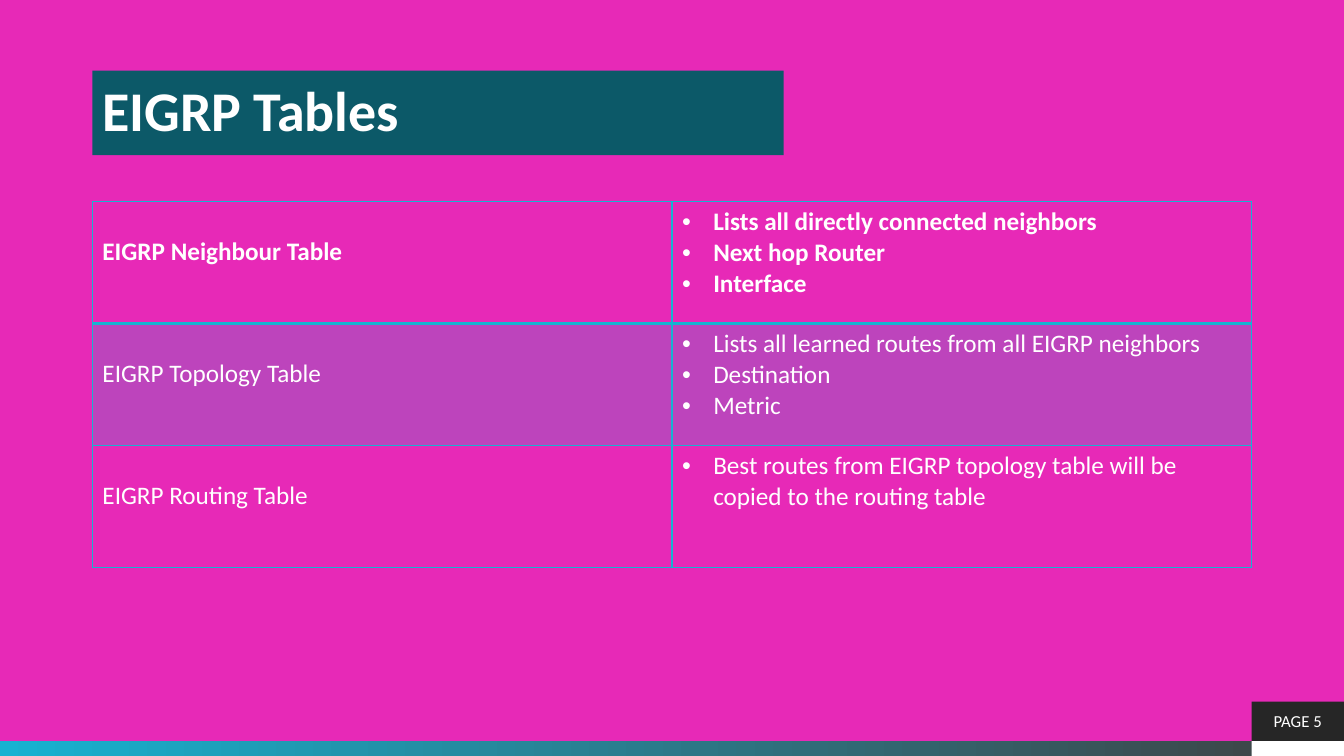
import dataclasses
import typing

import pptx
import pptx.dml.color
import pptx.enum.shapes
import pptx.enum.text
import pptx.oxml
import pptx.oxml.ns
import pptx.util

RGBColor = pptx.dml.color.RGBColor
Pt = pptx.util.Pt
Inches = pptx.util.Inches

PINK = RGBColor(0xE7, 0x29, 0xB7)
CYAN = RGBColor(0x17, 0xB2, 0xD1)
TEAL = RGBColor(0x0C, 0x59, 0x68)
GREY = RGBColor(0x40, 0x40, 0x40)
DARK = RGBColor(0x26, 0x26, 0x26)
WHITE = RGBColor(0xFF, 0xFF, 0xFF)

# The slide is a grid of 160 columns by 50 rows
WIDTH, HEIGHT = Inches(13.333), Inches(7.5)
COLUMN, ROW = WIDTH / 160, HEIGHT / 50
LEFT, RIGHT = 11, 149
ROW_SPAN = 8.07
BULLET_INDENT = Inches(0.31)


@dataclasses.dataclass
class Bar:
    left: float
    top: float
    width: float
    height: float
    colours: tuple[RGBColor, ...]
    text: str = ""
    size: int = 12
    bold: bool = False
    align: typing.Any = pptx.enum.text.PP_ALIGN.LEFT
    inset: float = 0.05
    line_spacing: float = 1.0


@dataclasses.dataclass
class TableRow:
    label: str
    points: tuple[str, ...]
    bold: bool = False
    shaded: bool = False
    rule: int = 1


BARS = (
    Bar(0, 49, 160, 1, (CYAN, GREY)),
    Bar(RIGHT, 49, 11, 1, (WHITE,)),
    Bar(LEFT, 4.67, 82.3, 5.6, (TEAL,), "EIGRP Tables", 40, True,
        inset=0.12, line_spacing=0.9),
    Bar(RIGHT, 46.4, 11, 2.6, (DARK,), "PAGE 5", align=pptx.enum.text.PP_ALIGN.CENTER),
)
ROWS = (
    TableRow("EIGRP Neighbour Table",
             ("Lists all directly connected neighbors", "Next hop Router", "Interface"),
             bold=True, rule=2),
    TableRow("EIGRP Topology Table",
             ("Lists all learned routes from all EIGRP neighbors", "Destination", "Metric"),
             shaded=True),
    TableRow("EIGRP Routing Table",
             ("Best routes from EIGRP topology table will be copied to the routing table",)),
)


def place(left: float, top: float, width: float, height: float) -> tuple[int, ...]:
    return (round(left * COLUMN), round(top * ROW),
            round(width * COLUMN), round(height * ROW))


def make_element(xml: str) -> typing.Any:
    return pptx.oxml.parse_xml(xml.replace(" ", f" {pptx.oxml.ns.nsdecls('a')} ", 1))


def write(para: typing.Any, text: str, size: int, bold: bool) -> None:
    span = para.add_run()
    span.text = text
    span.font.color.rgb = WHITE
    for name, value in {"name": "Calibri", "size": Pt(size), "bold": bold}.items():
        setattr(span.font, name, value)


def draw_bar(page: typing.Any, bar: Bar) -> None:
    box = page.shapes.add_shape(pptx.enum.shapes.MSO_SHAPE.RECTANGLE,
                                *place(bar.left, bar.top, bar.width, bar.height))
    box.shadow.inherit = False
    box.line.fill.background()
    if len(bar.colours) > 1:
        box.fill.gradient()
        box.fill.gradient_angle = 0
        for stop, colour in zip(box.fill.gradient_stops, bar.colours):
            stop.color.rgb = colour
    else:
        box.fill.solid()
        box.fill.fore_color.rgb = bar.colours[0]
    if bar.text:
        frame = box.text_frame
        layout = {"word_wrap": True, "margin_top": Inches(bar.inset),
                  "margin_bottom": Inches(bar.inset),
                  "vertical_anchor": pptx.enum.text.MSO_ANCHOR.MIDDLE}
        for name, value in layout.items():
            setattr(frame, name, value)
        para = frame.paragraphs[0]
        para.alignment = bar.align
        para.line_spacing = bar.line_spacing
        write(para, bar.text, bar.size, bar.bold)


def format_cell(cell: typing.Any, shaded: bool, top_rule: int, bottom_rule: int) -> None:
    properties = cell._tc.get_or_add_tcPr()
    if shaded:
        cell.fill.solid()
        cell.fill.fore_color.rgb = CYAN
        colour = properties.find(".//" + pptx.oxml.ns.qn("a:srgbClr"))
        colour.append(make_element('<a:alpha val="20000"/>'))
    else:
        cell.fill.background()
    rules = {"L": 1, "R": 1, "T": top_rule, "B": bottom_rule}
    for index, (side, points) in enumerate(rules.items()):
        properties.insert(index, make_element(
            f'<a:ln{side} w="{Pt(points)}"><a:solidFill>'
            f'<a:srgbClr val="{CYAN}"/></a:solidFill></a:ln{side}>'))


def draw_table(page: typing.Any, rows: tuple[TableRow, ...]) -> None:
    area = place(LEFT, 13.33, RIGHT - LEFT, ROW_SPAN * len(rows))
    table = page.shapes.add_table(len(rows), 2, *area).table
    table.first_row = table.horz_banding = False
    top_rule = 1
    for index, row in enumerate(rows):
        label, details = table.cell(index, 0), table.cell(index, 1)
        for cell in (label, details):
            format_cell(cell, row.shaded, top_rule, row.rule)
        top_rule = row.rule
        # The label stands level with the second line of the details
        label.margin_top = Inches(0.35)
        write(label.text_frame.paragraphs[0], row.label, 18, row.bold)
        frame = details.text_frame
        for number, point in enumerate(row.points):
            para = frame.add_paragraph() if number else frame.paragraphs[0]
            properties = para._p.get_or_add_pPr()
            properties.set("marL", str(BULLET_INDENT))
            properties.set("indent", str(-BULLET_INDENT))
            properties.append(make_element('<a:buFont typeface="Arial"/>'))
            properties.append(make_element('<a:buChar char="•"/>'))
            write(para, point, 18, row.bold)


def main() -> None:
    deck = pptx.Presentation()
    deck.slide_width, deck.slide_height = WIDTH, HEIGHT
    page = deck.slides.add_slide(deck.slide_layouts[6])
    page.background.fill.solid()
    page.background.fill.fore_color.rgb = PINK

    # Title, footer strip and page number
    for bar in BARS:
        draw_bar(page, bar)

    # Comparison of the three tables
    draw_table(page, ROWS)
    deck.save("out.pptx")


if __name__ == "__main__":
    main()
